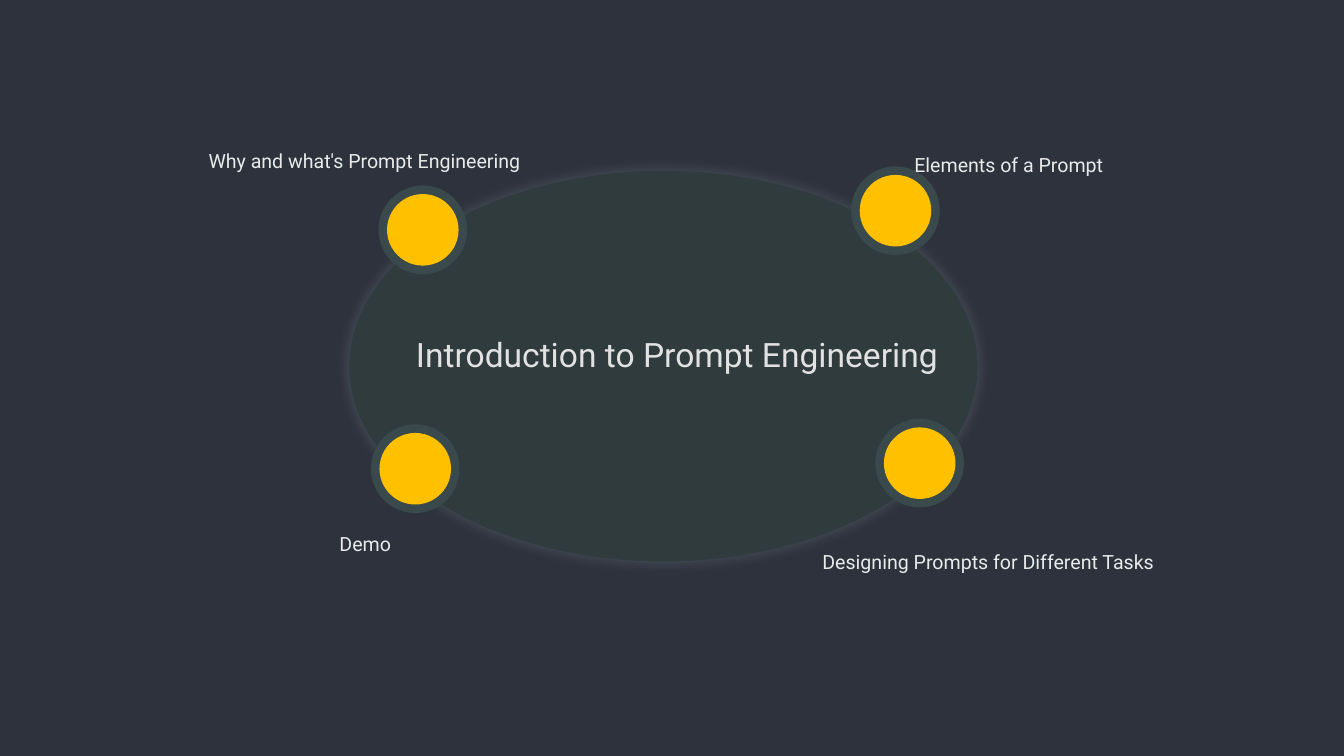
import pptx
import pptx.util
import pptx.dml.color
import pptx.enum.shapes
import pptx.enum.text
import pptx.oxml
import pptx.oxml.ns

WIDTH, HEIGHT = 26.67, 15
FONT = "Roboto"
COLORS = {"background": "2D323D", "hub": "303B3E", "glow": "DCEAF0", "ring": "3A494B",
          "dot": "FFC000", "label": "E9EAEA", "title": "E2E2E2"}
RING, DOT = 1.76, 1.42
ALIGN = pptx.enum.text.PP_ALIGN

TITLE = "Introduction to Prompt Engineering"
TITLE_BOX = (8.19, 5.99, 10.49, 2.08)
HUB_BOX = (6.93, 3.39, 12.47, 7.75)

# label, node centre, label box, alignment
TOPICS = [
    ("Designing Prompts for Different Tasks", (18.25, 9.19), (16.32, 10.44, 7.2, 1.42), ALIGN.LEFT),
    ("Elements of a Prompt", (17.77, 4.18), (15.7, 2.91, 6.19, 0.72), ALIGN.RIGHT),
    ("Demo", (8.24, 9.3), (6.1, 10.45, 1.66, 0.67), ALIGN.RIGHT),
    ("Why and what's Prompt Engineering", (8.39, 4.56), (3.99, 2.83, 6.33, 0.72), ALIGN.RIGHT),
]


def inches(box):
    return [pptx.util.Inches(value) for value in box]


def color(name):
    return pptx.dml.color.RGBColor.from_string(COLORS[name])


def add_ellipse(slide, box, fill):
    shape = slide.shapes.add_shape(pptx.enum.shapes.MSO_SHAPE.OVAL, *inches(box))
    shape.shadow.inherit = False
    shape.fill.solid()
    shape.fill.fore_color.rgb = color(fill)
    shape.line.fill.background()
    return shape


def add_circle(slide, center, diameter, fill):
    x, y = center
    add_ellipse(slide, (x - diameter / 2, y - diameter / 2, diameter, diameter), fill)


def add_glow(shape, blur, opacity):
    """Put a soft, centred outer shadow around the shape."""
    effects = shape._element.spPr.find(pptx.oxml.ns.qn("a:effectLst"))
    effects.append(pptx.oxml.parse_xml(
        f'<a:outerShdw {pptx.oxml.ns.nsdecls("a")} blurRad="{pptx.util.Pt(blur)}" dist="0" '
        f'algn="ctr" rotWithShape="0"><a:srgbClr val="{COLORS["glow"]}">'
        f'<a:alpha val="{opacity * 1000}"/></a:srgbClr></a:outerShdw>'))


def write_text(shape, text, size, fill, alignment):
    frame = shape.text_frame
    frame.text = text
    frame.word_wrap = True
    frame.auto_size = pptx.enum.text.MSO_AUTO_SIZE.NONE
    frame.vertical_anchor = pptx.enum.text.MSO_ANCHOR.MIDDLE
    frame.margin_left = frame.margin_right = frame.margin_top = frame.margin_bottom = 0
    paragraph = frame.paragraphs[0]
    paragraph.alignment = alignment
    paragraph.font.name = FONT
    paragraph.font.size = pptx.util.Pt(size)
    paragraph.font.color.rgb = color(fill)


def main():
    presentation = pptx.Presentation()
    presentation.slide_width, presentation.slide_height = inches((WIDTH, HEIGHT))
    slide = presentation.slides.add_slide(presentation.slide_layouts.get_by_name("Title Only"))
    slide.background.fill.solid()
    slide.background.fill.fore_color.rgb = color("background")

    hub = add_ellipse(slide, HUB_BOX, "hub")
    add_glow(hub, blur=21, opacity=18)

    title = slide.shapes.title
    title.left, title.top, title.width, title.height = inches(TITLE_BOX)
    write_text(title, TITLE, 48, "title", ALIGN.CENTER)
    hub._element.addnext(title._element)  # bring the title in front of the hub

    for label, center, box, alignment in TOPICS:
        add_circle(slide, center, RING, "ring")
        add_circle(slide, center, DOT, "dot")
        write_text(slide.shapes.add_textbox(*inches(box)), label, 28, "label", alignment)

    presentation.save("out.pptx")


if __name__ == "__main__":
    main()
